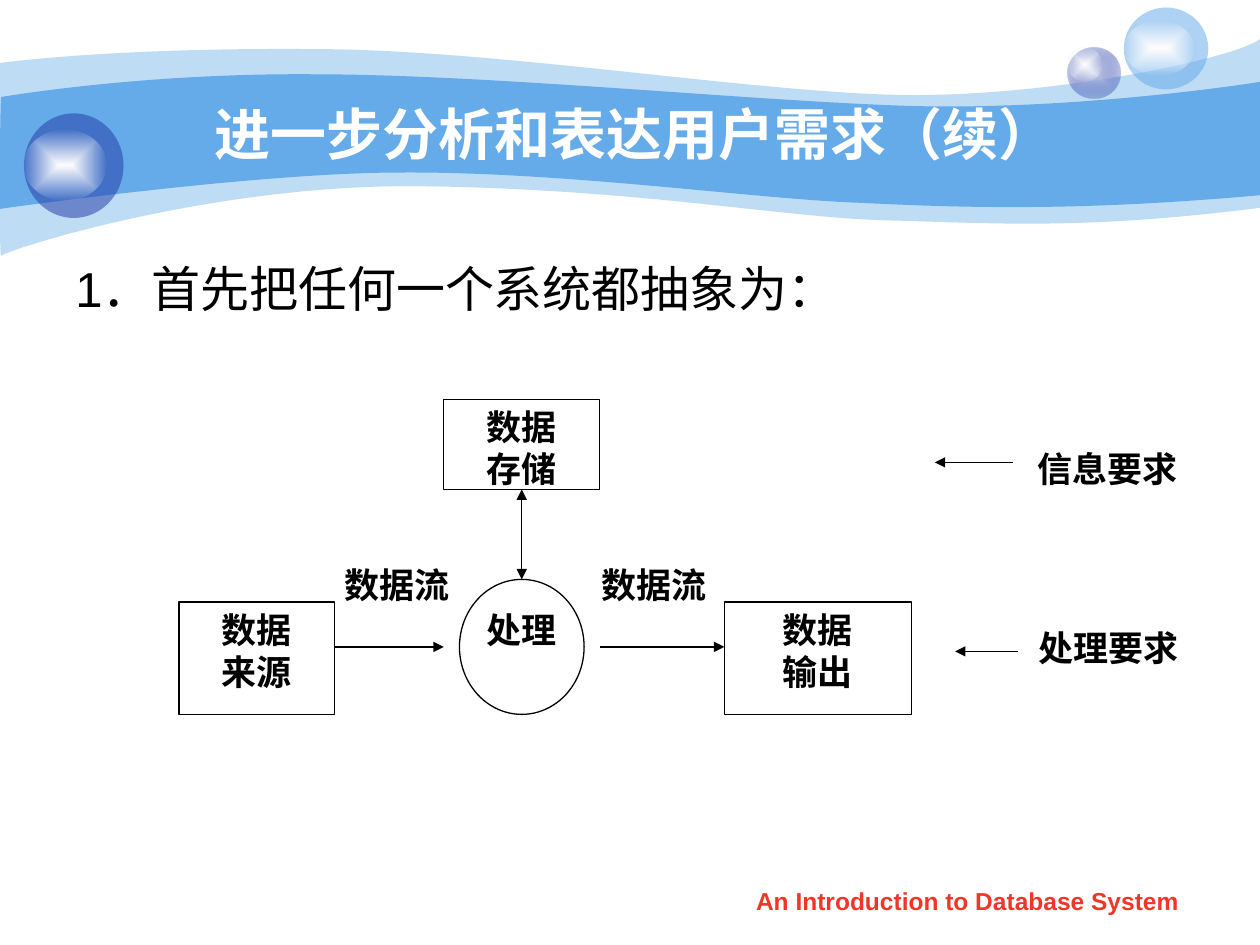
import dataclasses

import lxml.etree
import pptx
import pptx.dml.color
import pptx.enum.shapes
import pptx.enum.text
import pptx.oxml
import pptx.oxml.ns
import pptx.util

IN = pptx.util.Inches
SHAPE = pptx.enum.shapes.MSO_SHAPE
ANCHOR = pptx.enum.text.MSO_ANCHOR
ALIGN = pptx.enum.text.PP_ALIGN


@dataclasses.dataclass(frozen=True)
class Theme:
    sky: str = "65AAE9"
    navy: str = "233DA9"
    pale: str = "C6CCE8"
    white: str = "FFFFFF"
    glow_edge: str = "FEFEFE"
    ink: str = "000000"
    red: str = "F03628"
    sans: str = "Arial"
    serif: str = "Times New Roman"
    title: int = 32
    body: int = 28
    label: int = 20
    footer: int = 14
    line: float = 0.75


T = Theme()
SLIDE = (0, 0, 10, 7.5)

# Each wave: start point, then cubic curves (6 numbers) and straight lines (2)
OUTER_WAVE = [
    (0, 0.5), (0.24, 0.47, 1.07, 0.38, 2.47, 0.39),
    (3.86, 0.39, 5.75, 0.7, 6.99, 0.75), (8.22, 0.8, 9.8, 0.47, 10, 0.31),
    (10, 1.65), (8.58, 1.83, 7.87, 1.77, 7.05, 1.75),
    (6.22, 1.73, 5.15, 1.51, 3.43, 1.48),
    (1.72, 1.44, 0.04, 1.99, 0.01, 2.03), (-0.01, 2.08, 0, 0.75, 0, 0.5)]
INNER_WAVE = [
    (0.01, 0.77), (0.02, 0.77, 1.1, 0.58, 2.48, 0.59),
    (3.86, 0.59, 5.95, 0.8, 7.18, 0.84), (8.41, 0.88, 9.76, 0.69, 10, 0.65),
    (10, 1.55), (8.53, 1.68, 7.65, 1.65, 6.82, 1.61),
    (5.99, 1.58, 4.47, 1.36, 3.17, 1.37),
    (2.03, 1.37, -0.02, 1.66, -0.01, 1.66), (0, 1.66, 0, 0.77, 0.01, 0.77)]


def rgb(color):
    return pptx.dml.color.RGBColor.from_string(color)


def solid(sp, color, opacity=100):
    sp.fill.solid()
    sp.fill.fore_color.rgb = rgb(color)
    if opacity < 100:
        clr = sp.fill._xPr.find(".//" + pptx.oxml.ns.qn("a:srgbClr"))
        lxml.etree.SubElement(clr, pptx.oxml.ns.qn("a:alpha"), val=str(opacity * 1000))


def glow(sp, inner, outer, opacity):
    """Fill from the centre to the edge, where the colour gets clearer."""
    sp.fill.background()
    old = sp._element.spPr.find(pptx.oxml.ns.qn("a:noFill"))
    old.getparent().replace(old, pptx.oxml.parse_xml(
        f'<a:gradFill {pptx.oxml.ns.nsdecls("a")} rotWithShape="1"><a:gsLst>'
        f'<a:gs pos="0"><a:srgbClr val="{inner}"/></a:gs>'
        f'<a:gs pos="100000"><a:srgbClr val="{outer}">'
        f'<a:alpha val="{opacity * 1000}"/></a:srgbClr></a:gs></a:gsLst>'
        '<a:path path="rect"><a:fillToRect l="50000" t="50000" r="50000" b="50000"/>'
        '</a:path></a:gradFill>'))


def add_shape(s, kind, box):
    sp = s.shapes.add_shape(kind, *map(IN, box))
    sp.shadow.inherit = False
    sp.fill.background()
    sp.line.fill.background()
    return sp


def outline(sp):
    sp.line.color.rgb = rgb(T.ink)
    sp.line.width = pptx.util.Pt(T.line)


def write(sp, lines, size, font, color, bold=True, align=ALIGN.CENTER,
          anchor=ANCHOR.TOP, inset=0.1):
    tf = sp.text_frame
    tf.word_wrap = True
    tf.vertical_anchor = anchor
    tf.margin_left = tf.margin_right = IN(inset)
    tf.margin_top = tf.margin_bottom = IN(0.05)
    for i, line in enumerate(lines):
        p = tf.add_paragraph() if i else tf.paragraphs[0]
        p.alignment = align
        r = p.add_run()
        r.text = line
        r.font.size, r.font.name, r.font.bold = pptx.util.Pt(size), font, bold
        r.font.color.rgb = rgb(color)
    return tf


def add_text(s, box, lines, *style, **options):
    return write(s.shapes.add_textbox(*map(IN, box)), lines, *style, **options)


def add_wave(s, box, wave, opacity=100):
    x, y = box[:2]
    points = [(IN(x + seg[i]), IN(y + seg[i + 1]))
              for seg in wave for i in range(0, len(seg), 2)]
    fb = s.shapes.build_freeform(*points[0], scale=1.0)
    fb.add_line_segments(points[1:], close=True)
    sp = fb.convert_to_shape()
    # Join each three points of a curve into one cubic segment
    qn = pptx.oxml.ns.qn
    steps = iter(list(sp._element.iter(qn("a:lnTo"))))
    for seg in wave[1:]:
        first = next(steps)
        if len(seg) == 6:
            curve = lxml.etree.Element(qn("a:cubicBezTo"))
            first.addprevious(curve)
            for step in (first, next(steps), next(steps)):
                curve.append(step[0])
                step.getparent().remove(step)
    sp.shadow.inherit = False
    sp.line.fill.background()
    solid(sp, T.sky, opacity)


def add_bubble(s, box, paint, share, drop):
    """A ball with a highlight: its size and drop are shares of the ball."""
    x, y, w, h = box
    paint(add_shape(s, SHAPE.OVAL, box))
    shine = add_shape(s, SHAPE.OVAL, (x, y + drop * h, share * w, 0.67 * h))
    glow(shine, T.white, T.glow_edge, 0)


def add_banner(s, box):
    x, y, w, h = box
    add_wave(s, box, OUTER_WAVE, opacity=41)
    add_wave(s, box, INNER_WAVE)
    add_bubble(s, (x + 8.47, y + 0.38, 0.42, 0.4),
               lambda sp: glow(sp, T.pale, T.navy, 31), 0.67, 0)
    add_bubble(s, (x + 8.92, y + 0.06, 0.67, 0.65),
               lambda sp: solid(sp, T.sky, 53), 0.83, 0.16)
    add_bubble(s, (x + 0.19, y + 0.9, 0.79, 0.83),
               lambda sp: solid(sp, T.navy, 53), 0.83, 0.16)
    add_text(s, (x + 0.1 * w, y + 0.1 * h, 8.08, 0.62),
             ["进一步分析和表达用户需求（续）"], T.title, T.sans, T.white,
             anchor=ANCHOR.MIDDLE)


def add_body(s, box):
    tf = add_text(s, box, ["1．首先把任何一个系统都抽象为："], T.body, T.sans, T.ink,
                  bold=False, align=ALIGN.LEFT)
    p = tf.paragraphs[0]
    p.space_before = pptx.util.Pt(7)
    pPr = p._p.get_or_add_pPr()
    pPr.set("marL", str(IN(0.38)))
    pPr.set("indent", str(-IN(0.38)))


def add_diagram(s, box, columns=65, rows=14):
    x, y, w, h = box
    cw, rh = w / columns, h / rows

    def cell(c, r, across, down):
        return x + c * cw, y + r * rh, across * cw, down * rh

    def label(place, *lines):
        add_text(s, cell(*place), lines, T.label, T.serif, T.ink, inset=0)

    def node(place, *lines):
        sp = add_shape(s, SHAPE.RECTANGLE, cell(*place))
        outline(sp)
        write(sp, lines, T.label, T.serif, T.ink, inset=0)
        return sp

    def arrow(c1, r1, c2, r2, ends=("tailEnd",)):
        cx = s.shapes.add_connector(
            pptx.enum.shapes.MSO_CONNECTOR.STRAIGHT,
            *map(IN, (x + c1 * cw, y + r1 * rh, x + c2 * cw, y + r2 * rh)))
        outline(cx)
        for end in ends:
            lxml.etree.SubElement(cx.line._get_or_add_ln(),
                                  pptx.oxml.ns.qn("a:" + end), type="triangle")
        lxml.etree.SubElement(cx._element.spPr, pptx.oxml.ns.qn("a:effectLst"))
        return cx

    # Flow labels, process and store
    for place in ((26, 7, 9, 4), (10, 7, 8, 4)):
        label(place, "数据流")
    process = add_shape(s, SHAPE.OVAL, cell(18, 8, 8, 6))
    outline(process)
    store = node((17, 0, 10, 4), "数据", "存储")
    # Information requirement
    label((54.6, 1.85, 10, 4), "信息要求")
    arrow(53.5, 2.8, 48.5, 2.8)
    # Source, process and output
    node((0, 9, 10, 5), "数据", "来源")
    arrow(10, 11, 17, 11)
    label((19, 9, 6, 3), "处理")
    arrow(27, 11, 35, 11)
    node((35, 9, 12, 5), "数据", "输出")
    # Processing requirement
    arrow(53.85, 11.2, 49.8, 11.2)
    label((54.65, 9.8, 10, 3.2), "处理要求")
    # Two-way link between store and process
    link = arrow(22, 4, 22, 8, ends=("headEnd", "tailEnd"))
    link.begin_connect(store, 2)
    link.end_connect(process, 0)


def add_footer(s, box):
    add_text(s, box, ["An Introduction to Database System"],
             T.footer, T.sans, T.red)


def main():
    prs = pptx.Presentation()
    prs.slide_width, prs.slide_height = map(IN, SLIDE[2:])
    s = prs.slides.add_slide(prs.slide_layouts[6])
    add_banner(s, SLIDE)
    add_body(s, (0.5, 2, 9, 4.92))
    add_diagram(s, (1.42, 3.17, 8.04, 2.5))
    add_footer(s, (5.71, 6.98, 3.94, 0.35))
    prs.save("out.pptx")


if __name__ == "__main__":
    main()
